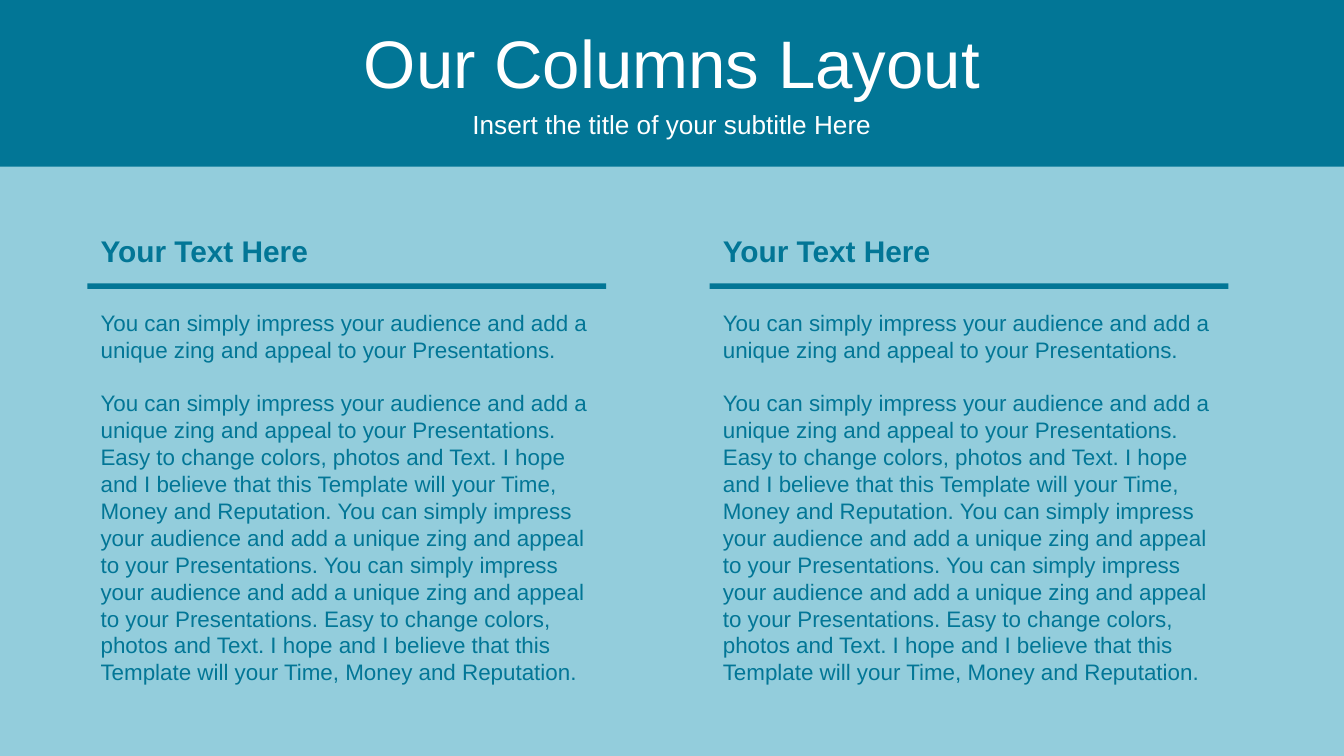
"""Build a two-column text slide under a title band."""
import lxml.etree
import pptx
import pptx.dml.color
import pptx.enum.shapes
import pptx.enum.text
import pptx.oxml.ns
import pptx.util

RGBColor = pptx.dml.color.RGBColor
TEAL = RGBColor(0x02, 0x76, 0x96)
AQUA = RGBColor(0x4B, 0xAC, 0xC6)
WHITE = RGBColor(0xFF, 0xFF, 0xFF)
FONT = "Arial"

TITLE = "Our Columns Layout"
SUBTITLE = "Insert the title of your subtitle Here"
IMPRESS = "You can simply impress your audience and add a unique zing and appeal to your Presentations."
EASY = ("Easy to change colors, photos and Text. I hope and I believe that this "
        "Template will your Time, Money and Reputation.")
BODY = [IMPRESS, " ".join([IMPRESS, EASY, IMPRESS, IMPRESS, EASY])]
COLUMNS = [("Your Text Here", BODY), ("Your Text Here", BODY)]

WIDTH = 10
HEIGHT = WIDTH * 9 / 16
BAND_HEIGHT = 1.24
COLUMN_LEFT, COLUMN_STEP = 0.65, 4.63
TEXT_WIDTH, RULE_WIDTH = 3.95, 3.86
HEADING_ROW, RULE_ROW, BODY_ROW = (1.68, 0.37), (2.11, 0.04), (2.25, 2.93)


def inches(*lengths):
    return [pptx.util.Inches(length) for length in lengths]


def write(frame, texts, size, color, bold=False, align=pptx.enum.text.PP_ALIGN.LEFT, gap=0):
    frame.word_wrap = True
    frame.auto_size = pptx.enum.text.MSO_AUTO_SIZE.NONE
    for index, text in enumerate(texts):
        paragraph = frame.add_paragraph() if index else frame.paragraphs[0]
        paragraph.alignment = align
        paragraph.space_before = pptx.util.Pt(gap if index else 0)
        run = paragraph.add_run()
        run.text = text
        run.font.name = FONT
        run.font.size = pptx.util.Pt(size)
        run.font.bold = bold
        run.font.color.rgb = color


def add_bar(slide, left, top, width, height, color=TEAL):
    bar = slide.shapes.add_shape(pptx.enum.shapes.MSO_SHAPE.RECTANGLE,
                                 *inches(left, top, width, height))
    bar.shadow.inherit = False
    bar.fill.solid()
    bar.fill.fore_color.rgb = color
    bar.line.fill.background()
    return bar


def set_opacity(shape, percent):
    qn = pptx.oxml.ns.qn
    color = shape.element.spPr.find(qn("a:solidFill")).find(qn("a:srgbClr"))
    lxml.etree.SubElement(color, qn("a:alpha")).set("val", str(percent * 1000))


def add_text(slide, left, row, texts, size, **style):
    top, height = row
    box = slide.shapes.add_textbox(*inches(left, top, TEXT_WIDTH, height))
    write(box.text_frame, texts, size, TEAL, **style)


def fill_placeholder(placeholder, top, height, text, size):
    placeholder.left, placeholder.top, placeholder.width, placeholder.height = inches(
        0, top, WIDTH, height)
    placeholder.text_frame.vertical_anchor = pptx.enum.text.MSO_ANCHOR.MIDDLE
    write(placeholder.text_frame, [text], size, WHITE, align=pptx.enum.text.PP_ALIGN.CENTER)


def main():
    presentation = pptx.Presentation()
    presentation.slide_width, presentation.slide_height = inches(WIDTH, HEIGHT)
    slide = presentation.slides.add_slide(presentation.slide_layouts[0])

    backdrop = add_bar(slide, 0, 0, WIDTH, HEIGHT, AQUA)
    set_opacity(backdrop, 60)
    band = add_bar(slide, 0, 0, WIDTH, BAND_HEIGHT)
    for shape in (band, backdrop):
        slide.shapes.element.insert(2, shape.element)
    fill_placeholder(slide.shapes.title, 0.14, 0.63, TITLE, 36)
    fill_placeholder(slide.placeholders[1], 0.77, 0.31, SUBTITLE, 14)

    for index, (heading, body) in enumerate(COLUMNS):
        left = COLUMN_LEFT + index * COLUMN_STEP
        add_text(slide, left, HEADING_ROW, [heading], 16, bold=True)
        add_text(slide, left, BODY_ROW, body, 12, gap=14.4)
        add_bar(slide, left, RULE_ROW[0], RULE_WIDTH, RULE_ROW[1])

    presentation.save("out.pptx")


if __name__ == "__main__":
    main()
